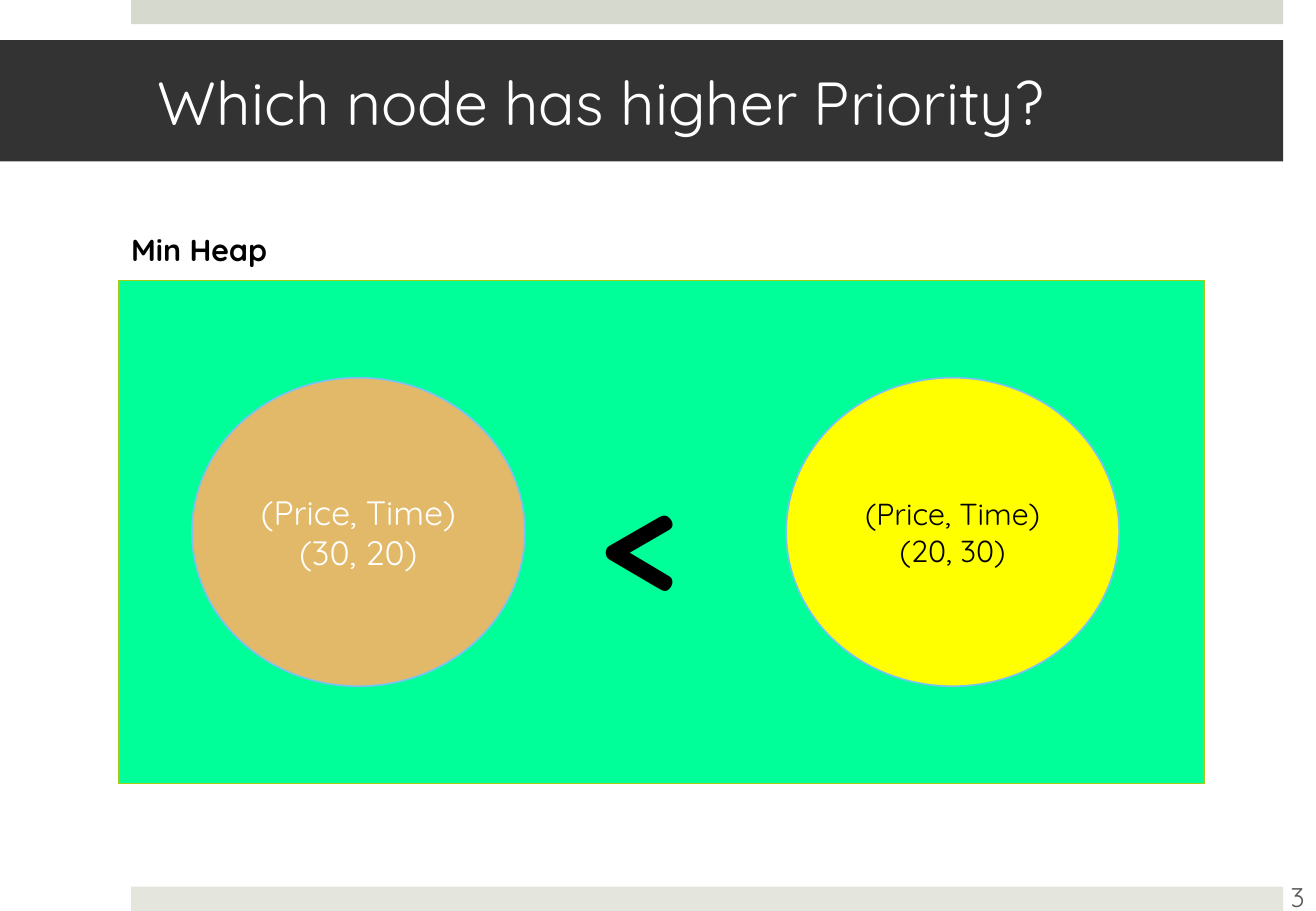
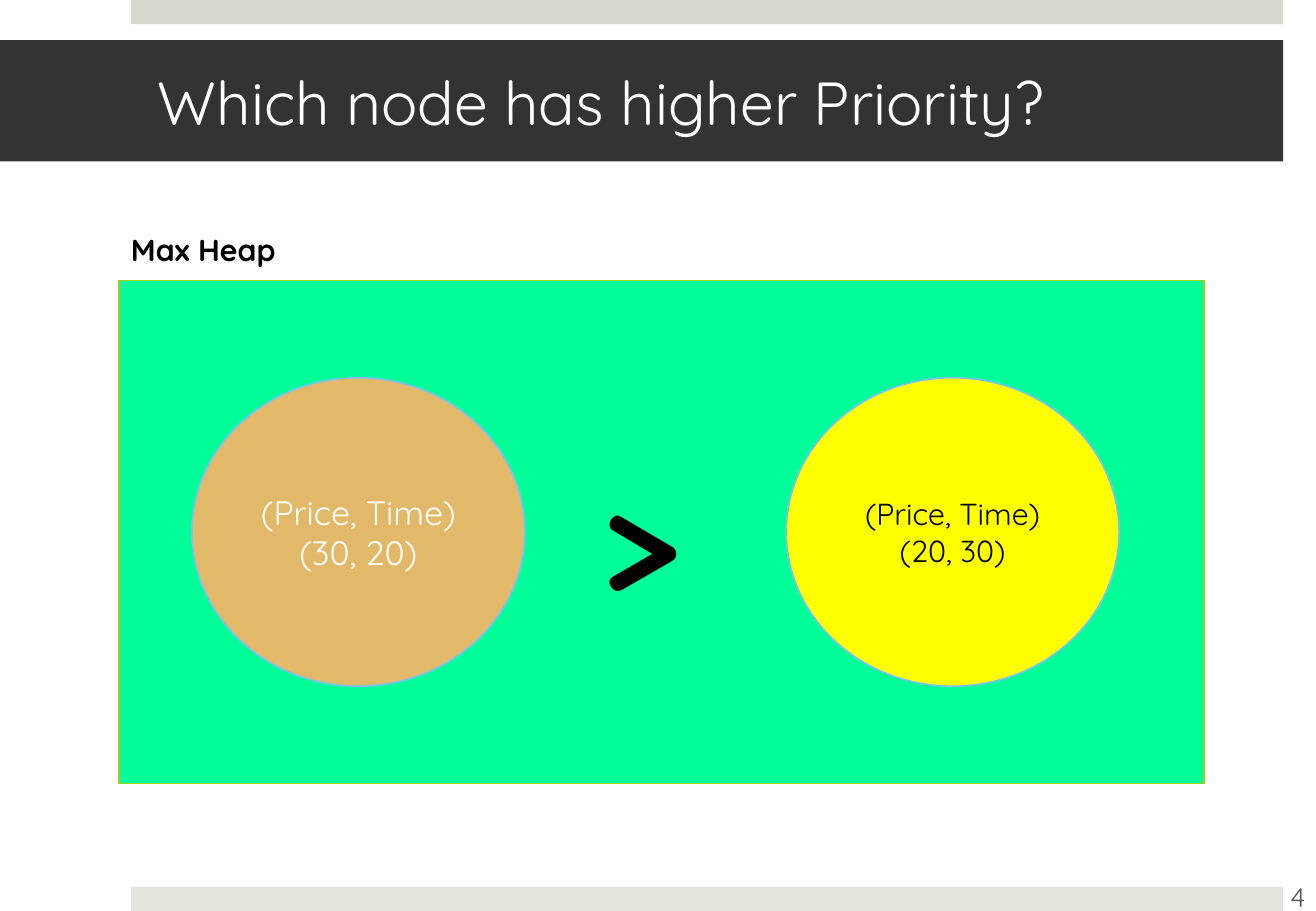
"""Build two slides that compare node priority in a min heap and a max heap."""
from dataclasses import dataclass
from typing import Optional

from pptx import Presentation
from pptx import util as u
from pptx.dml.color import RGBColor
from pptx.enum import shapes, text

CELL = u.Inches(0.1)
COLS, ROWS = 108.3, 75
FONT = "Quicksand"
TITLE = "Which node has higher Priority?"

WHITE = RGBColor(0xFF, 0xFF, 0xFF)
BLACK = RGBColor(0x00, 0x00, 0x00)
DARK = RGBColor(0x33, 0x33, 0x33)
GREY = RGBColor(0x59, 0x59, 0x59)
SAGE = RGBColor(0xD6, 0xD9, 0xCD)
PALE = RGBColor(0xE4, 0xE6, 0xDE)
MINT = RGBColor(0x00, 0xFF, 0x99)
LIME = RGBColor(0xA5, 0xCC, 0x12)
SAND = RGBColor(0xE2, 0xB9, 0x68)
YELLOW = RGBColor(0xFF, 0xFF, 0x00)
SKY = RGBColor(0x7A, 0xC2, 0xF2)

RECT = shapes.MSO_SHAPE.RECTANGLE
OVAL = shapes.MSO_SHAPE.OVAL
LEFT, CENTER = text.PP_ALIGN.LEFT, text.PP_ALIGN.CENTER
TOP, MIDDLE = text.MSO_ANCHOR.TOP, text.MSO_ANCHOR.MIDDLE


@dataclass(frozen=True)
class Box:
    """A place on the grid, in columns and rows."""
    col: float
    row: float
    wide: float
    high: float

    def emu(self) -> tuple[int, ...]:
        """Return left, top, width and height as slide lengths."""
        return tuple(round(n * CELL) for n in (self.col, self.row, self.wide, self.high))


@dataclass(frozen=True)
class Style:
    """The look of a piece of text."""
    size: int
    color: RGBColor
    bold: bool = False
    align: text.PP_ALIGN = LEFT
    anchor: text.MSO_ANCHOR = TOP


@dataclass(frozen=True)
class Node:
    """A heap node with its priority pair."""
    col: float
    pair: str
    fill: RGBColor
    ink: RGBColor
    size: int


@dataclass(frozen=True)
class Heap:
    """What differs between the slides."""
    name: str
    wide: float
    sign: str
    number: int


BAR_COL, BAR_END, BAR_HIGH = 10.8, 105.6, 2
BARS = ((0, SAGE), (ROWS - BAR_HIGH, PALE))
HEAD = Box(0, 3.3, BAR_END, 10)
PANEL = Box(9.8, 23.1, 89.3, 41.4)
NODE_WIDE, NODE_HIGH = 27.4, 25.4
NODE_ROW = PANEL.row + (PANEL.high - NODE_HIGH) / 2
NODES = (
    Node(15.8, "(30, 20)", SAND, WHITE, 20),
    Node(64.7, "(20, 30)", YELLOW, BLACK, 18),
)
HEAPS = (Heap("Min Heap", 13.9, "<", 3), Heap("Max Heap", 14.7, ">", 4))


def add_form(slide, kind, box: Box, fill: RGBColor, edge: Optional[RGBColor] = None):
    """Draw a filled shape, with a thin edge if a colour is given."""
    form = slide.shapes.add_shape(kind, *box.emu())
    form.shadow.inherit = False
    form.fill.solid()
    form.fill.fore_color.rgb = fill
    if edge is None:
        form.line.fill.background()
    else:
        form.line.color.rgb = edge
        form.line.width = u.Pt(1)
    return form


def set_text(form, words: str, style: Style) -> None:
    """Fill a shape with styled text."""
    frame = form.text_frame
    frame.text = words
    frame.word_wrap = True
    frame.vertical_anchor = style.anchor
    for para in frame.paragraphs:
        para.alignment = style.align
        for run in para.runs:
            run.font.name = FONT
            run.font.size = u.Pt(style.size)
            run.font.bold = style.bold
            run.font.color.rgb = style.color


def add_text(slide, box: Box, words: str, style: Style):
    """Place a text box on the grid."""
    form = slide.shapes.add_textbox(*box.emu())
    set_text(form, words, style)
    return form


def add_frame(slide, number: int) -> None:
    """Draw the bars, the title band and the slide number."""
    for row, fill in BARS:
        add_form(slide, RECT, Box(BAR_COL, row, BAR_END - BAR_COL, BAR_HIGH), fill)
    head = add_form(slide, RECT, HEAD, DARK)
    set_text(head, TITLE, Style(36, WHITE, anchor=MIDDLE))
    head.text_frame.margin_left = 13 * CELL
    head.text_frame.margin_right = 3 * CELL
    add_text(slide, Box(104.1, 71.8, 5.4, 4), str(number),
             Style(16, GREY, align=CENTER, anchor=MIDDLE))


def add_node(slide, node: Node) -> None:
    """Draw one heap node."""
    form = add_form(slide, OVAL, Box(node.col, NODE_ROW, NODE_WIDE, NODE_HIGH), node.fill, SKY)
    set_text(form, f"(Price, Time)\n{node.pair}",
             Style(node.size, node.ink, align=CENTER, anchor=MIDDLE))


def add_heap(deck, heap: Heap) -> None:
    """Add the slide for one kind of heap."""
    slide = deck.slides.add_slide(deck.slide_layouts[6])
    add_frame(slide, heap.number)
    add_form(slide, RECT, PANEL, MINT, LIME)
    label = add_text(slide, Box(PANEL.col, 18.5, heap.wide, 4), heap.name,
                     Style(18, BLACK, bold=True))
    label.text_frame.word_wrap = False
    for node in NODES:
        add_node(slide, node)
    sign = add_text(slide, Box(48.6, 36, 10.2, 15.8), heap.sign, Style(88, BLACK, bold=True))
    for form in (label, sign):
        form.text_frame.auto_size = text.MSO_AUTO_SIZE.SHAPE_TO_FIT_TEXT


def main() -> None:
    """Build and save the deck."""
    deck = Presentation()
    deck.slide_width = round(COLS * CELL)
    deck.slide_height = ROWS * CELL
    for heap in HEAPS:
        add_heap(deck, heap)
    deck.save("out.pptx")


if __name__ == "__main__":
    main()
